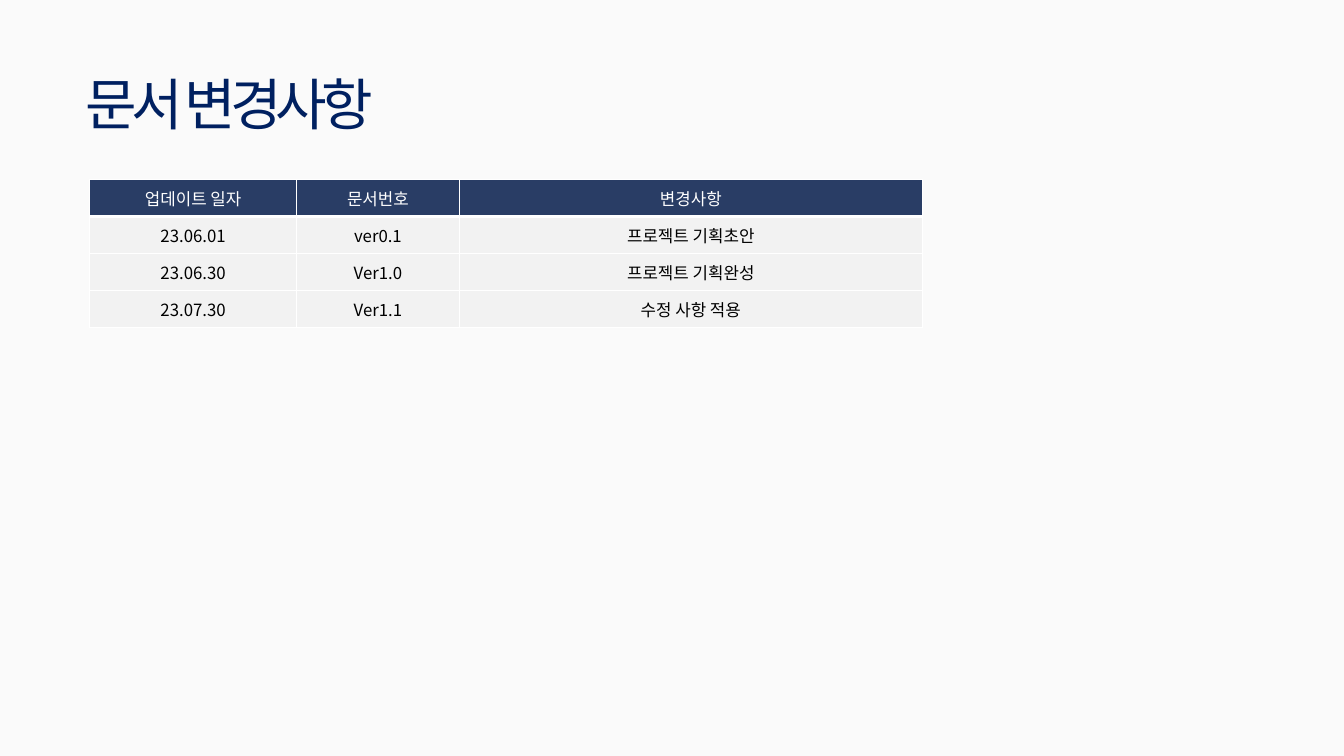
from dataclasses import dataclass

from lxml.etree import SubElement
from pptx import Presentation
from pptx.dml.color import RGBColor
from pptx.enum.text import MSO_ANCHOR, MSO_AUTO_SIZE, PP_ALIGN
from pptx.oxml.ns import qn
from pptx.util import Cm, Pt


@dataclass(frozen=True)
class Theme:
    font: str = "Noto Sans CJK KR"
    background: str = "FAFAFA"
    title: str = "002060"
    header_fill: str = "293D65"
    header_text: str = "FFFFFF"
    body_fill: str = "F2F2F2"
    body_text: str = "000000"
    border: str = "FFFFFF"
    title_size: int = 60
    table_size: int = 18


theme = Theme()


def style_run(run, size, color):
    run.font.name = theme.font
    run.font.size = Pt(size)
    run.font.bold = False
    run.font.color.rgb = RGBColor.from_string(color)
    SubElement(run.font._element, qn("a:ea"), typeface=theme.font)


def add_border(cell, side, width):
    line = SubElement(cell._tc.get_or_add_tcPr(), qn(f"a:{side}"), w=str(Pt(width)))
    fill = SubElement(line, qn("a:solidFill"))
    SubElement(fill, qn("a:srgbClr"), val=theme.border)


deck = Presentation()
deck.slide_width = Cm(50.8)
deck.slide_height = Cm(28.58)
slide = deck.slides.add_slide(deck.slide_layouts[5])
slide.background.fill.solid()
slide.background.fill.fore_color.rgb = RGBColor.from_string(theme.background)

title = slide.shapes.title
title.left, title.top, title.width, title.height = Cm(2.97), Cm(2.79), Cm(41.17), Cm(2.82)
title.text_frame.text = "문서 변경사항"
title.text_frame.word_wrap = True
title.text_frame.auto_size = MSO_AUTO_SIZE.SHAPE_TO_FIT_TEXT
title.text_frame.vertical_anchor = MSO_ANCHOR.TOP
heading = title.text_frame.paragraphs[0]
heading.alignment = PP_ALIGN.LEFT
heading.line_spacing = 0.9
style_run(heading.runs[0], theme.title_size, theme.title)
heading.runs[0].font._element.set("spc", "-600")

revisions = [
    ("업데이트 일자", "문서번호", "변경사항"),
    ("23.06.01", "ver0.1", "프로젝트 기획초안"),
    ("23.06.30", "Ver1.0", "프로젝트 기획완성"),
    ("23.07.30", "Ver1.1", "수정 사항 적용"),
]
column_widths = [Cm(7.82), Cm(6.15), Cm(17.5)]
row_height = Cm(1.4)

history = slide.shapes.add_table(
    len(revisions), len(column_widths), Cm(3.39), Cm(6.79),
    sum(column_widths), row_height * len(revisions),
).table
for column, width in zip(history.columns, column_widths):
    column.width = width

for row_index, revision in enumerate(revisions):
    is_header = row_index == 0
    fill_color = theme.header_fill if is_header else theme.body_fill
    text_color = theme.header_text if is_header else theme.body_text
    for column_index, entry in enumerate(revision):
        cell = history.cell(row_index, column_index)
        cell.text_frame.text = entry
        cell.vertical_anchor = MSO_ANCHOR.MIDDLE
        paragraph = cell.text_frame.paragraphs[0]
        paragraph.alignment = PP_ALIGN.CENTER
        style_run(paragraph.runs[0], theme.table_size, text_color)
        for side in ("lnL", "lnR", "lnT", "lnB"):
            add_border(cell, side, 3 if is_header and side == "lnB" else 1)
        cell.fill.solid()
        cell.fill.fore_color.rgb = RGBColor.from_string(fill_color)

deck.save("out.pptx")
